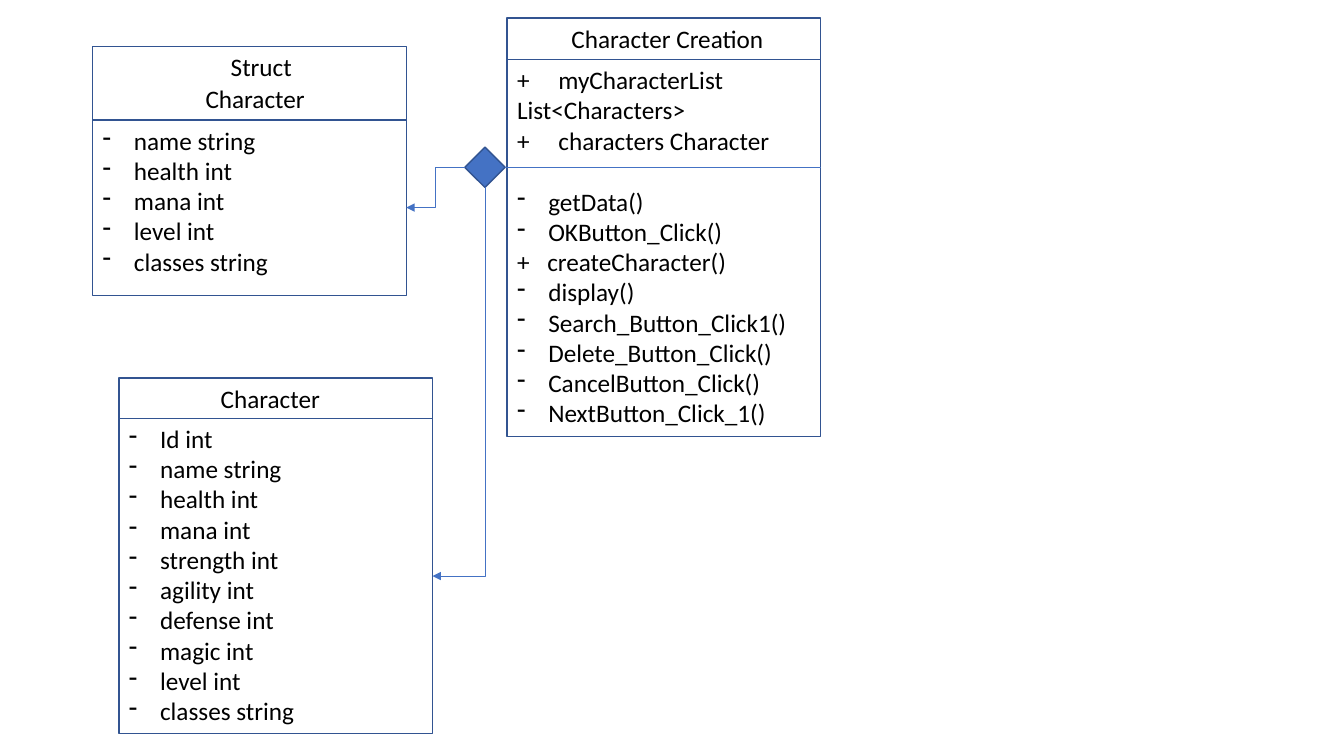
from dataclasses import dataclass

from lxml.etree import SubElement
from pptx import Presentation
from pptx.dml.color import RGBColor
from pptx.enum.shapes import MSO_CONNECTOR, MSO_SHAPE
from pptx.enum.text import MSO_AUTO_SIZE
from pptx.oxml.ns import qn
from pptx.util import Emu, Pt

PX = 9144  # 100 px to the inch
COLORS = {"text": "000000", "border": "325491", "accent": "4472C4"}
FONT = "Calibri"
BOX_W = 311
TITLE_H = 40
INDENT = 31


@dataclass(frozen=True)
class Label:
    text: str
    x: int
    y: int
    w: int


@dataclass(frozen=True)
class Member:
    text: str
    bullet: bool = True
    tab: int = 0
    before: int = 0


@dataclass(frozen=True)
class ClassBox:
    x: int
    y: int
    head_h: int
    body_h: int
    text_w: int
    text_h: int
    titles: tuple[Label, ...]
    members: tuple[Member, ...]


def fields(*names: str) -> tuple[Member, ...]:
    return tuple(Member(name) for name in names)


CHARACTER = ClassBox(
    118, 375, 40, 313, 204, 313, (Label("Character", 209, 375, 144),),
    fields("Id int", "name string", "health int", "mana int", "strength int",
           "agility int", "defense int", "magic int", "level int", "classes string"))
CREATION = ClassBox(
    503, 18, 41, 374, 288, 374, (Label("Character Creation", 557, 18, 220),),
    (Member("+\tmyCharacterList List<Characters>", bullet=False, tab=41),
     Member("+\tcharacters Character", bullet=False, tab=41),
     Member("getData()", before=22),
     Member("OKButton_Click()"),
     Member("+\tcreateCharacter()", bullet=False, tab=30),
     *fields("display()", "Search_Button_Click1()", "Delete_Button_Click()",
             "CancelButton_Click()", "NextButton_Click_1()")))
STRUCT = ClassBox(
    92, 46, 73, 174, 204, 162,
    (Label("Struct", 219, 46, 144), Label("Character", 194, 78, 144)),
    fields("name string", "health int", "mana int", "level int", "classes string"))


def px(n: int) -> Emu:
    return Emu(n * PX)


def rgb(name: str) -> RGBColor:
    return RGBColor.from_string(COLORS[name])


def add_text(p, text: str, *, size: int = 18, color: str = "text", bullet: bool = False,
             tab: int = 0, before: int = 0) -> None:
    r = p.add_run()
    r.text = text
    r.font.name, r.font.size = FONT, Pt(size)
    r.font.color.rgb = rgb(color)
    if before:
        p.space_before = Pt(before)
    pPr = p._p.get_or_add_pPr()
    if bullet:
        pPr.set("marL", str(px(INDENT)))
        pPr.set("indent", str(-px(INDENT)))
        SubElement(pPr, qn("a:buFontTx"))
        SubElement(pPr, qn("a:buChar"), char="-")
    if tab:
        tabs = SubElement(pPr, qn("a:tabLst"))
        SubElement(tabs, qn("a:tab"), pos=str(px(tab)), algn="l")


def add_textbox(s, x: int, y: int, w: int, h: int, members: tuple[Member, ...]) -> None:
    tf = s.shapes.add_textbox(px(x), px(y), px(w), px(h)).text_frame
    tf.word_wrap = True
    tf.auto_size = MSO_AUTO_SIZE.SHAPE_TO_FIT_TEXT
    for i, m in enumerate(members):
        p = tf.add_paragraph() if i else tf.paragraphs[0]
        add_text(p, m.text, bullet=m.bullet, tab=m.tab, before=m.before)


def add_outline(s, kind: MSO_SHAPE, x: int, y: int, w: int, h: int, fill: str = ""):
    sp = s.shapes.add_shape(kind, px(x), px(y), px(w), px(h))
    sp.shadow.inherit = False
    if fill:
        sp.fill.solid()
        sp.fill.fore_color.rgb = rgb(fill)
    else:
        sp.fill.background()
    sp.line.color.rgb = rgb("border")
    sp.line.width = Pt(1)
    return sp


def add_class(s, box: ClassBox):
    """Draw a class and return its member compartment."""
    body_y = box.y + box.head_h
    for t in box.titles:
        add_textbox(s, t.x, t.y, t.w, TITLE_H, (Member(t.text, bullet=False),))
    add_textbox(s, box.x, body_y, box.text_w, box.text_h, box.members)
    add_outline(s, MSO_SHAPE.RECTANGLE, box.x, box.y, BOX_W, box.head_h)
    return add_outline(s, MSO_SHAPE.RECTANGLE, box.x, body_y, BOX_W, box.body_h)


def add_link(s, kind: MSO_CONNECTOR, start, site: int, end: tuple[int, int], arrow: bool = False):
    c = s.shapes.add_connector(kind, start.left, start.top, px(end[0]), px(end[1]))
    c.begin_connect(start, site)
    c.line.color.rgb = rgb("accent")
    c.line.width = Pt(0.5)
    if arrow:
        SubElement(c.line._get_or_add_ln(), qn("a:tailEnd"), type="triangle")
    SubElement(c._element.spPr, qn("a:effectLst"))
    return c


def bend_once(c) -> None:
    """Route an elbow down, then left, with a single corner."""
    x1, y1, x2, y2 = c.begin_x, c.begin_y, c.end_x, c.end_y
    w, h = y2 - y1, x1 - x2
    c.left, c.top = Emu((x1 + x2 - w) // 2), Emu((y1 + y2 - h) // 2)
    c.width, c.height = Emu(w), Emu(h)
    xfrm = c._element.spPr.find(qn("a:xfrm"))
    xfrm.attrib.pop("flipH", None)
    xfrm.set("rot", "5400000")
    c._element.spPr.find(qn("a:prstGeom")).set("prst", "bentConnector2")


def main() -> None:
    prs = Presentation()
    prs.slide_width, prs.slide_height = px(1333), px(750)
    s = prs.slides.add_slide(prs.slide_layouts[6])

    # Classes
    character = add_class(s, CHARACTER)
    add_class(s, CREATION)
    struct = add_class(s, STRUCT)

    # Composition diamond and the divider beside it
    diamond = add_outline(s, MSO_SHAPE.FLOWCHART_DECISION, 461, 146, 40, 40, fill="accent")
    add_link(s, MSO_CONNECTOR.STRAIGHT, diamond, 3, (CREATION.x + BOX_W, 166))

    # Arrows to the composed classes
    to_struct = add_link(s, MSO_CONNECTOR.ELBOW, diamond, 1, (403, 206), arrow=True)
    to_struct.end_connect(struct, 3)
    to_character = add_link(s, MSO_CONNECTOR.ELBOW, diamond, 2, (429, 572), arrow=True)
    to_character.end_connect(character, 3)
    bend_once(to_character)

    prs.save("out.pptx")


if __name__ == "__main__":
    main()
